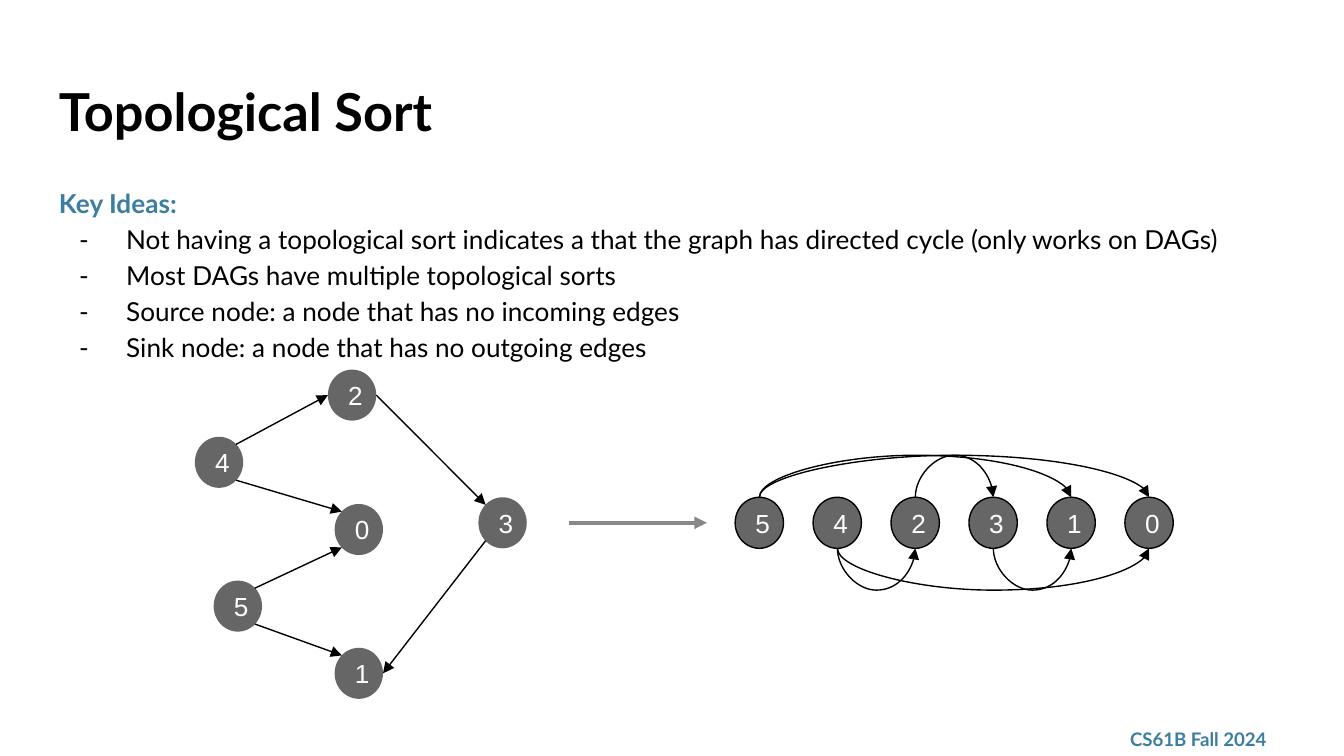
from pptx import Presentation
from pptx.dml.color import RGBColor
from pptx.enum.shapes import MSO_CONNECTOR, MSO_SHAPE
from pptx.enum.text import MSO_ANCHOR, PP_ALIGN
from pptx.oxml.ns import qn
from pptx.util import Emu, Inches, Pt
from lxml.etree import SubElement

COLORS = {
    "accent": "3B7EA1",
    "ink": "000000",
    "node": "666666",
    "node_text": "FFFFFF",
    "arrow": "888888",
}
NODE_WIDTH, NODE_HEIGHT = 0.36, 0.38
NEAR, FAR = 0.15, 0.85
SITES = {
    "top": (0.5, 0),
    "bottom": (0.5, 1),
    "left": (0, 0.5),
    "right": (1, 0.5),
    "top left": (NEAR, NEAR),
    "top right": (FAR, NEAR),
    "bottom left": (NEAR, FAR),
    "bottom right": (FAR, FAR),
}
IDEAS = [
    "Not having a topological sort indicates a that the graph has directed cycle (only works on DAGs)",
    "Most DAGs have multiple topological sorts",
    "Source node: a node that has no incoming edges",
    "Sink node: a node that has no outgoing edges",
]
GRAPH_NODES = {
    "5": (0.14, 1.57),
    "4": (0, 0.5),
    "0": (1.04, 1),
    "2": (0.99, 0),
    "1": (1.04, 2.07),
    "3": (2.11, 0.95),
}
GRAPH_EDGES = [
    ("5", "bottom right", "1", "top left"),
    ("5", "top right", "0", "bottom left"),
    ("4", "bottom right", "0", "top left"),
    ("4", "top right", "2", "left"),
    ("2", "right", "3", "top left"),
    ("3", "bottom left", "1", "right"),
]
SORTED_LABELS = "542310"
SORTED_EDGES = [
    ("5", "0", "top"),
    ("4", "0", "bottom"),
    ("2", "3", "top"),
    ("3", "1", "bottom"),
    ("4", "2", "bottom"),
    ("5", "1", "top"),
]


def color(name):
    return RGBColor.from_string(COLORS[name])


def style_font(font, size, name, face="Lato", bold=False):
    font.size = Pt(size)
    font.name = face
    font.bold = bold
    font.color.rgb = color(name)


def set_insets(frame):
    frame.margin_left = frame.margin_right = Inches(0.1)
    frame.margin_top = frame.margin_bottom = Inches(0.1)
    frame.word_wrap = True


def add_text(page, left, top, width, height):
    box = page.shapes.add_textbox(Inches(left), Inches(top), Inches(width), Inches(height))
    set_insets(box.text_frame)
    return box.text_frame


def add_line_of_text(page, box, text, size, name, anchor):
    frame = add_text(page, *box)
    frame.vertical_anchor = anchor
    paragraph = frame.paragraphs[0]
    paragraph.text = text
    style_font(paragraph.font, size, name, bold=True)


def add_dash(paragraph):
    properties = paragraph._p.get_or_add_pPr()
    properties.set("marL", str(Inches(0.5)))
    properties.set("indent", str(Inches(-0.35)))
    bullet_color = SubElement(properties, qn("a:buClr"))
    SubElement(bullet_color, qn("a:srgbClr"), val=COLORS["ink"])
    SubElement(properties, qn("a:buFont"), typeface="Lato")
    SubElement(properties, qn("a:buChar"), char="-")


def add_key_ideas(page, left, top, width, height):
    frame = add_text(page, left, top, width, height)
    heading = frame.paragraphs[0]
    heading.text = "Key Ideas:"
    heading.line_spacing = 1.15
    style_font(heading.font, 14, "accent", bold=True)
    for idea in IDEAS:
        paragraph = frame.add_paragraph()
        paragraph.text = idea
        paragraph.line_spacing = 1.15
        add_dash(paragraph)
        style_font(paragraph.font, 14, "ink")


def add_node(page, label, left, top, outlined=False):
    node = page.shapes.add_shape(
        MSO_SHAPE.OVAL, Inches(left), Inches(top), Inches(NODE_WIDTH), Inches(NODE_HEIGHT))
    node.shadow.inherit = False
    node.fill.solid()
    node.fill.fore_color.rgb = color("node")
    if outlined:
        node.line.color.rgb = color("ink")
        node.line.width = Pt(0.75)
    else:
        node.line.fill.background()
    set_insets(node.text_frame)
    node.text_frame.vertical_anchor = MSO_ANCHOR.MIDDLE
    paragraph = node.text_frame.paragraphs[0]
    paragraph.text = label
    paragraph.alignment = PP_ALIGN.CENTER
    style_font(paragraph.font, 14, "node_text", face="Arial")


def site_point(corner, site):
    across, down = SITES[site]
    return corner[0] + across * NODE_WIDTH, corner[1] + down * NODE_HEIGHT


def add_arrow(page, start, end, kind=MSO_CONNECTOR.STRAIGHT, name="ink", weight=0.75):
    arrow = page.shapes.add_connector(kind, *(Inches(value) for value in (*start, *end)))
    arrow.line.color.rgb = color(name)
    arrow.line.width = Pt(weight)
    SubElement(arrow.line._get_or_add_ln(), qn("a:tailEnd"), type="triangle")
    SubElement(arrow._element.spPr, qn("a:effectLst"))
    return arrow


def add_arc(page, start, end, bulge):
    arc = add_arrow(page, start, end, MSO_CONNECTOR.CURVE)
    span = end[0] - start[0]
    thickness = Emu(600)
    arc.left = Inches((start[0] + end[0]) / 2)
    arc.top = Inches(start[1] - span / 2)
    arc.width, arc.height = thickness, Inches(span)
    properties = arc._element.spPr
    transform = properties.find(qn("a:xfrm"))
    transform.set("rot", str(270 * 60000))
    transform.set("flipH", "1")
    guides = properties.find(qn("a:prstGeom")).get_or_add_avLst()
    ratio = round(Inches(bulge) / thickness * 100000)
    SubElement(guides, qn("a:gd"), name="adj1", fmla=f"val {ratio}")


def add_graph(page, left, top):
    corners = {label: (left + x, top + y) for label, (x, y) in GRAPH_NODES.items()}
    for label, corner in corners.items():
        add_node(page, label, *corner)
    for source, exit_site, target, entry_site in GRAPH_EDGES:
        add_arrow(page, site_point(corners[source], exit_site),
                  site_point(corners[target], entry_site))


def add_sorted_row(page, left, top, pitch):
    corners = {label: (left + index * pitch, top) for index, label in enumerate(SORTED_LABELS)}
    for label, corner in corners.items():
        add_node(page, label, *corner, outlined=True)
    for source, target, side in SORTED_EDGES:
        bulge = -0.26 if side == "top" else 0.26
        add_arc(page, site_point(corners[source], side),
                site_point(corners[target], side), bulge)


def main():
    deck = Presentation()
    deck.slide_width = Inches(10)
    deck.slide_height = deck.slide_width * 9 // 16
    page = deck.slides.add_slide(deck.slide_layouts[6])
    add_line_of_text(page, (8.31, 5.37, 1.35, 0.26), "CS61B Fall 2024", 10, "accent",
                     MSO_ANCHOR.MIDDLE)
    add_line_of_text(page, (0.34, 0.49, 9.32, 0.63), "Topological Sort", 28, "ink",
                     MSO_ANCHOR.TOP)
    add_key_ideas(page, 0.34, 1.26, 9.32, 1.13)
    add_graph(page, 1.45, 2.75)
    add_arrow(page, (4.23, 3.89), (5.26, 3.89), name="arrow", weight=2.25)
    add_sorted_row(page, 5.47, 3.7, 0.58)
    deck.save("out.pptx")


if __name__ == "__main__":
    main()
